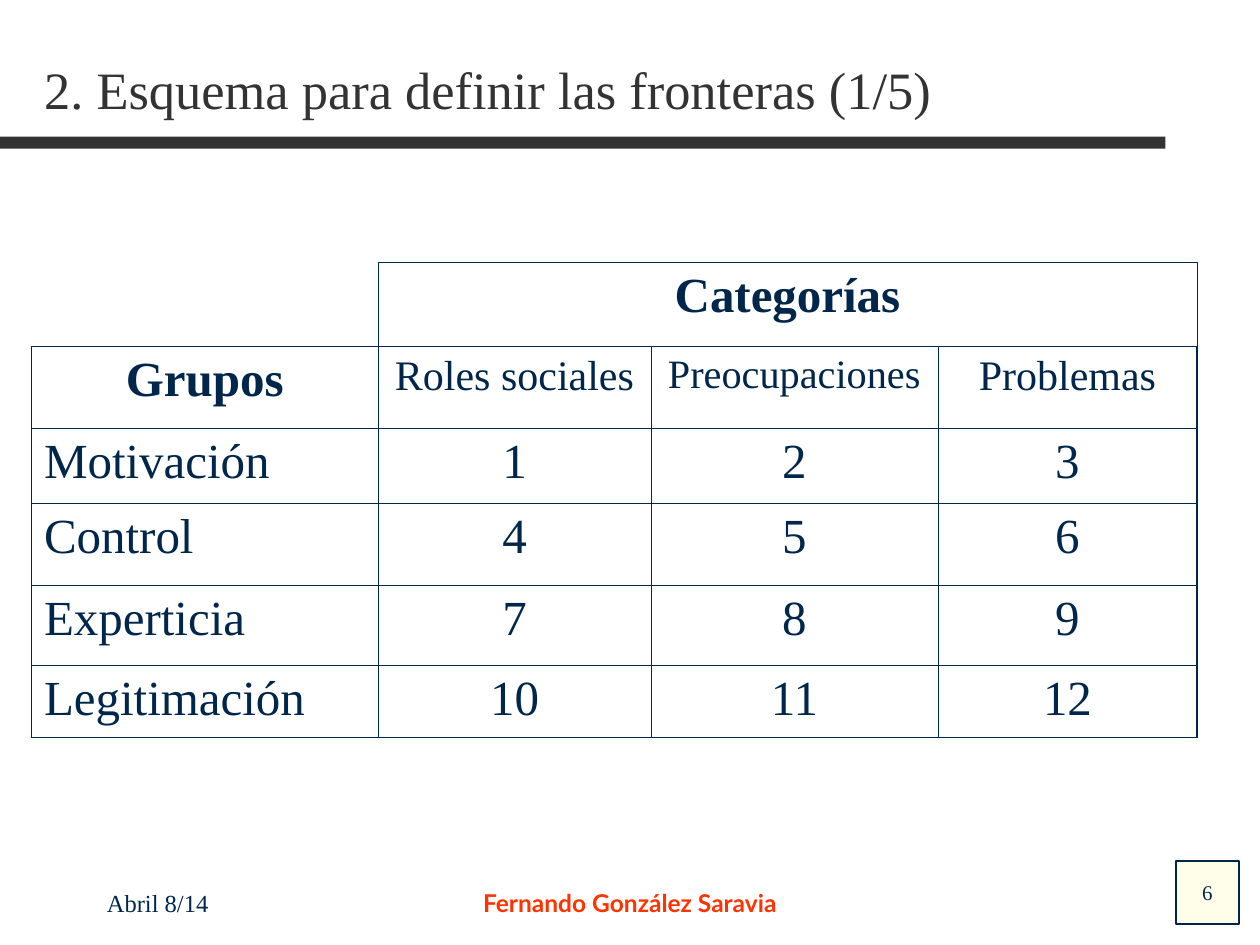
from lxml.etree import SubElement
from pptx import Presentation
from pptx.dml.color import RGBColor
from pptx.enum.shapes import MSO_SHAPE as SHAPE
from pptx.enum.text import MSO_ANCHOR as ANCHOR, PP_ALIGN as ALIGN
from pptx.oxml.ns import qn
from pptx.util import Pt

COLORS = {"navy": "00264C", "gray": "333333", "cream": "FFFFE9", "orange": "FF3300"}
SERIF = "Times New Roman"


def write(tf, text, size, color="navy", align=ALIGN.LEFT, font=SERIF, bold=False, before=0):
    p = tf.paragraphs[0]
    p.alignment = align
    p.space_before = Pt(before)
    r = p.add_run()
    r.text = text
    for name, value in {"size": Pt(size), "name": font, "bold": bold}.items():
        setattr(r.font, name, value)
    r.font.color.rgb = RGBColor.from_string(COLORS[color])


def set_borders(cell, widths):
    """Draw the cell edges; widths maps L, R, T, B (in that order) to points."""
    props = cell._tc.get_or_add_tcPr()
    for i, (side, width) in enumerate(widths.items()):
        ln = SubElement(props, qn(f"a:ln{side}"), w=str(Pt(width)))
        if width:
            fill = SubElement(ln, qn("a:solidFill"))
            SubElement(fill, qn("a:srgbClr"), val=COLORS["navy"])
        else:
            SubElement(ln, qn("a:noFill"))
        props.insert(i, ln)


prs = Presentation()
prs.slide_width, prs.slide_height = Pt(720), Pt(540)
s = prs.slides.add_slide(prs.slide_layouts[5])

# Title and rule
title = s.shapes.title
title.left, title.top, title.width, title.height = Pt(18), Pt(22.5), Pt(680), Pt(49.5)
title.text_frame.vertical_anchor = ANCHOR.BOTTOM
write(title.text_frame, "2. Esquema para definir las fronteras (1/5)", 30, "gray")

rule = s.shapes.add_shape(SHAPE.RECTANGLE, Pt(0), Pt(78), Pt(666), Pt(7))
rule.shadow.inherit = False
rule.fill.solid()
rule.fill.fore_color.rgb = RGBColor.from_string(COLORS["gray"])
rule.line.fill.background()

# Table
rows = [
    ["", "Categorías", "", ""],
    ["Grupos", "Roles sociales", "Preocupaciones", "Problemas"],
    ["Motivación", "1", "2", "3"],
    ["Control", "4", "5", "6"],
    ["Experticia", "7", "8", "9"],
    ["Legitimación", "10", "11", "12"],
]
col_widths = [198, 156, 164, 148]
row_heights = [48, 47, 42.5, 47, 46, 41]
subhead_sizes = {"Roles sociales": 24, "Preocupaciones": 23, "Problemas": 24}
THIN, THICK = 0.45, 1.08
last_row, last_col = len(rows) - 1, len(col_widths) - 1

frame = s.shapes.add_table(len(rows), len(col_widths), Pt(18), Pt(150),
                           Pt(sum(col_widths)), Pt(sum(row_heights)))
table = frame.table
table.first_row = table.horz_banding = False
for col, width in zip(table.columns, col_widths):
    col.width = Pt(width)
for row, height in zip(table.rows, row_heights):
    row.height = Pt(height)
table.cell(0, 1).merge(table.cell(0, last_col))

for i, texts in enumerate(rows):
    for j, text in enumerate(texts):
        cell = table.cell(i, j)
        cell.fill.background()
        corner = i == j == 0
        set_borders(cell, {
            "L": 0 if corner else THICK if j == 0 else THIN,
            "R": THICK if j == last_col else THIN,
            "T": 0 if corner else THICK if i == 0 else THIN,
            "B": THICK if i == last_row else THIN,
        })
        if text:
            size = subhead_sizes.get(text, 28)
            write(cell.text_frame, text, size,
                  align=ALIGN.LEFT if j == 0 and i > 1 else ALIGN.CENTER,
                  bold=text in ("Categorías", "Grupos"), before=size / 4)

# Footer
footers = [
    (54, 150, "Abril 8/14", {}),
    (246, 228, "Fernando González Saravia",
     {"color": "orange", "align": ALIGN.CENTER, "font": "Lato", "bold": True}),
]
for left, width, text, style in footers:
    tf = s.shapes.add_textbox(Pt(left), Pt(492), Pt(width), Pt(36)).text_frame
    tf.word_wrap = True
    tf.vertical_anchor = ANCHOR.BOTTOM
    write(tf, text, 14, **style)

page = s.shapes.add_shape(SHAPE.RECTANGLE, Pt(672), Pt(492), Pt(36), Pt(36))
page.shadow.inherit = False
page.fill.solid()
page.fill.fore_color.rgb = RGBColor.from_string(COLORS["cream"])
page.line.color.rgb = RGBColor.from_string(COLORS["navy"])
page.line.width = Pt(0.75)
page.text_frame.vertical_anchor = ANCHOR.MIDDLE
write(page.text_frame, "6", 12, align=ALIGN.CENTER)

prs.save("out.pptx")
